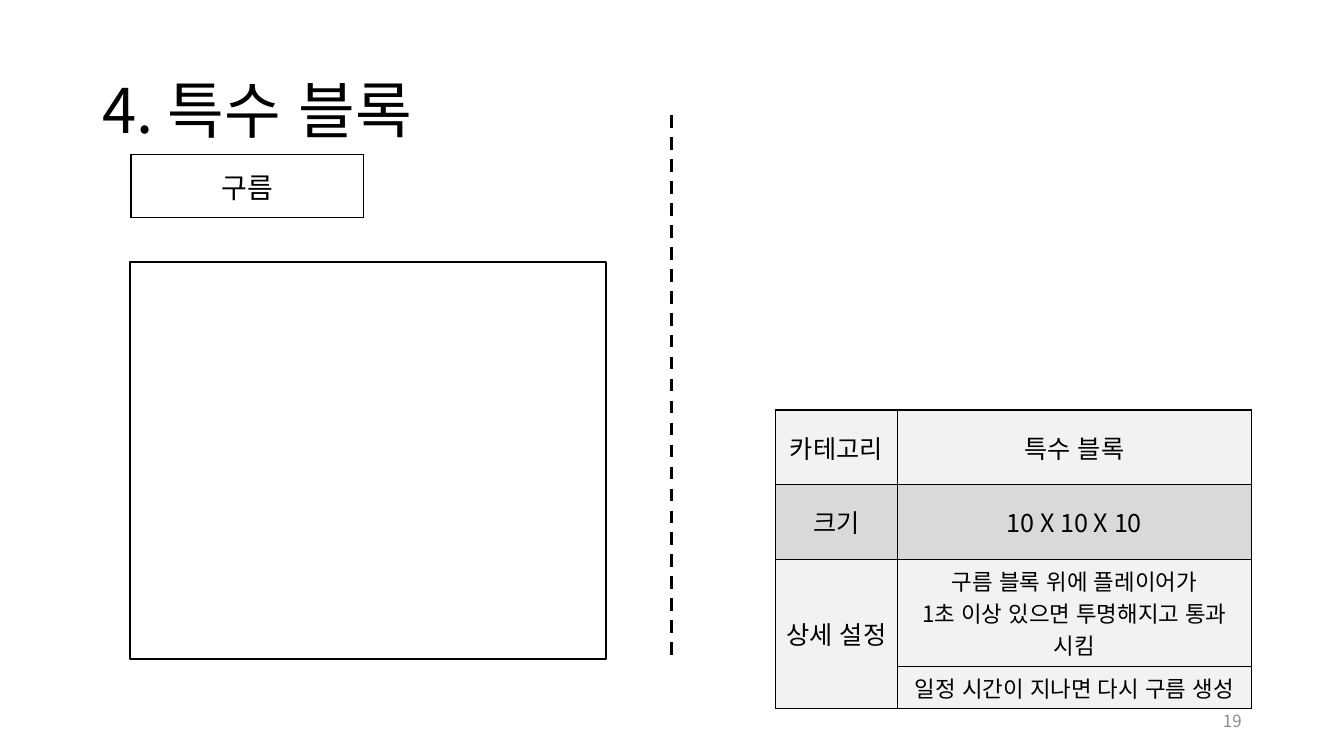
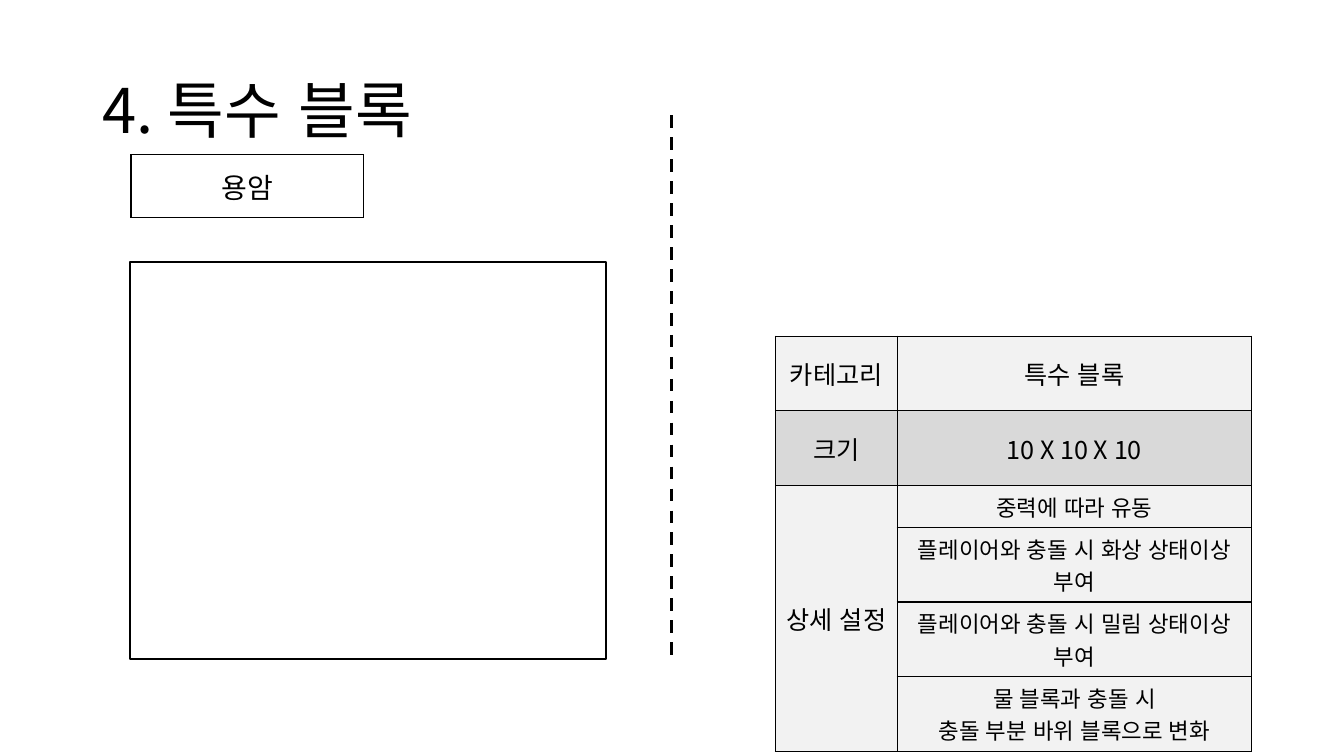
import dataclasses

import pptx
import pptx.dml.color
import pptx.enum.dml
import pptx.enum.lang
import pptx.enum.shapes
import pptx.enum.text
import pptx.oxml
import pptx.oxml.ns
import pptx.util

Cm = pptx.util.Cm
Pt = pptx.util.Pt
ALIGN = pptx.enum.text.PP_ALIGN
MIDDLE = pptx.enum.text.MSO_ANCHOR.MIDDLE


@dataclasses.dataclass(frozen=True)
class Theme:
    font: str = "Noto Sans CJK KR"
    ink: str = "000000"
    muted: str = "8C8C8C"
    paper: str = "FFFFFF"
    light: str = "F2F2F2"
    shaded: str = "D9D9D9"
    title_size: int = 44
    label_size: int = 20
    heading_size: int = 18
    detail_size: int = 16
    number_size: int = 12
    border: float = 1
    frame: float = 1.5
    divider: float = 2.25
    detail_line: float = 0.82
    detail_padding: float = 0.24


THEME = Theme()

# Each detail is the number of lines it takes in its cell, and its text.
SLIDES = [
    {
        "label": "구름",
        "number": "19",
        "table_top": 10.33,
        "details": [
            (3, "구름 블록 위에 플레이어가\n1초 이상 있으면 투명해지고 통과 시킴"),
            (1, "일정 시간이 지나면 다시 구름 생성"),
        ],
    },
    {
        "label": "용암",
        "number": None,
        "table_top": 8.47,
        "details": [
            (1, "중력에 따라 유동"),
            (2, "플레이어와 충돌 시 화상 상태이상 부여"),
            (2, "플레이어와 충돌 시 밀림 상태이상 부여"),
            (2, "물 블록과 충돌 시\n충돌 부분 바위 블록으로 변화"),
        ],
    },
]


def color(value):
    return pptx.dml.color.RGBColor.from_string(value)


def write(frame, text, size, ink=THEME.ink, align=ALIGN.CENTER,
          line_spacing=None):
    """Fill a text frame with one paragraph per line of text."""
    frame.word_wrap = True
    for index, line in enumerate(text.split("\n")):
        para = frame.add_paragraph() if index else frame.paragraphs[0]
        para.alignment = align
        para.line_spacing = line_spacing
        span = para.add_run()
        span.text = line
        font = span.font
        font.name = THEME.font
        font.size = Pt(size)
        font.color.rgb = color(ink)
        font.language_id = pptx.enum.lang.MSO_LANGUAGE_ID.KOREAN
        east_asian = pptx.oxml.parse_xml(
            f'<a:ea {pptx.oxml.ns.nsdecls("a")} typeface="{THEME.font}"/>')
        latin = span._r.rPr.find(pptx.oxml.ns.qn("a:latin"))
        latin.addnext(east_asian)


def add_text_box(slide, left, top, width, height, text, size, **text_format):
    box = slide.shapes.add_textbox(Cm(left), Cm(top), Cm(width), Cm(height))
    box.text_frame.vertical_anchor = MIDDLE
    write(box.text_frame, text, size, **text_format)


def add_title(slide):
    add_text_box(slide, 2.34, 1.02, 29.2, 3.68, "4. 특수 블록",
                 THEME.title_size, align=ALIGN.LEFT, line_spacing=0.9)


def add_page_number(slide, number):
    add_text_box(slide, 23.92, 17.65, 7.62, 1.02, number,
                 THEME.number_size, ink=THEME.muted, align=ALIGN.RIGHT)


def add_divider(slide):
    divider = slide.shapes.add_connector(
        pptx.enum.shapes.MSO_CONNECTOR.STRAIGHT,
        Cm(16.93), Cm(2.91), Cm(16.93), Cm(16.61))
    divider.line.color.rgb = color(THEME.ink)
    divider.line.width = Pt(THEME.divider)
    divider.line.dash_style = pptx.enum.dml.MSO_LINE.DASH
    divider._element.spPr.append(pptx.oxml.parse_xml(
        f'<a:effectLst {pptx.oxml.ns.nsdecls("a")}/>'))


def add_frame(slide):
    frame = slide.shapes.add_shape(
        pptx.enum.shapes.MSO_SHAPE.RECTANGLE,
        Cm(3.28), Cm(6.6), Cm(12), Cm(10))
    frame.shadow.inherit = False
    frame.fill.background()
    frame.line.color.rgb = color(THEME.ink)
    frame.line.width = Pt(THEME.frame)


def style_cell(cell, fill):
    properties = cell._tc.get_or_add_tcPr()
    for side in ("lnL", "lnR", "lnT", "lnB"):
        properties.append(pptx.oxml.parse_xml(
            f'<a:{side} {pptx.oxml.ns.nsdecls("a")} w="{Pt(THEME.border)}">'
            f'<a:solidFill><a:srgbClr val="{THEME.ink}"/></a:solidFill>'
            f'</a:{side}>'))
    cell.fill.solid()
    cell.fill.fore_color.rgb = color(fill)
    cell.vertical_anchor = MIDDLE


def add_table(slide, left, top, widths, rows):
    """Each row is (height, fill, cells); a cell is (text, size) or None."""
    height = sum(row[0] for row in rows)
    table = slide.shapes.add_table(
        len(rows), len(widths), Cm(left), Cm(top),
        Cm(sum(widths)), Cm(height)).table
    table.first_row = table.horz_banding = False
    for column, width in zip(table.columns, widths):
        column.width = Cm(width)
    for row, (row_height, fill, cells) in zip(table.rows, rows):
        row.height = Cm(row_height)
        for cell, content in zip(row.cells, cells):
            style_cell(cell, fill)
            if content:
                write(cell.text_frame, *content)
    return table


def add_label(slide, text):
    add_table(slide, 3.3, 3.9, [5.87],
              [(1.58, THEME.paper, [(text, THEME.label_size)])])


def add_block_table(slide, top, details):
    size = THEME.heading_size
    rows = [
        (1.88, THEME.light, [("카테고리", size), ("특수 블록", size)]),
        (1.88, THEME.shaded, [("크기", size), ("10 X 10 X 10", size)]),
    ]
    for index, (line_count, text) in enumerate(details):
        height = THEME.detail_padding + line_count * THEME.detail_line
        heading = None if index else ("상세 설정", size)
        rows.append((height, THEME.light,
                     [heading, (text, THEME.detail_size)]))
    table = add_table(slide, 19.54, top, [3.07, 8.93], rows)
    table.cell(2, 0).merge(table.cell(len(rows) - 1, 0))


def add_block_slide(deck, label, number, table_top, details):
    slide = deck.slides.add_slide(deck.slide_layouts[6])
    add_title(slide)
    if number:
        add_page_number(slide, number)
    add_divider(slide)
    add_label(slide, label)
    add_block_table(slide, table_top, details)
    add_frame(slide)


def main():
    deck = pptx.Presentation()
    deck.slide_width = Cm(33.87)
    deck.slide_height = Cm(19.05)
    for content in SLIDES:
        add_block_slide(deck, **content)
    deck.save("out.pptx")


if __name__ == "__main__":
    main()
